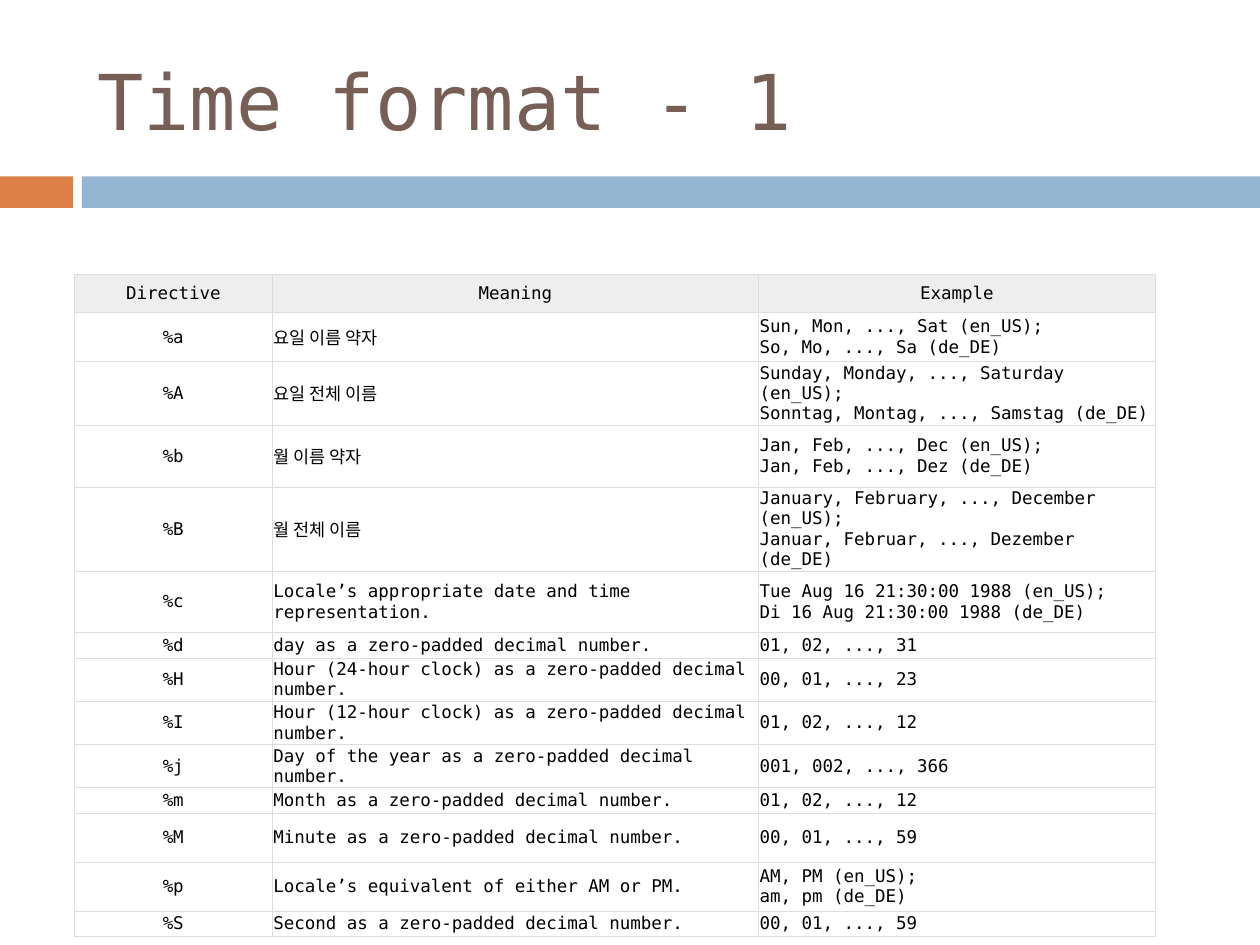
from dataclasses import dataclass

from lxml import etree
from pptx import Presentation
from pptx.dml.color import RGBColor
from pptx.enum.shapes import MSO_SHAPE
from pptx.enum.text import MSO_ANCHOR, PP_ALIGN
from pptx.oxml.ns import qn
from pptx.util import Inches, Pt

RECTANGLE = MSO_SHAPE.RECTANGLE
MIDDLE = MSO_ANCHOR.MIDDLE
LEFT, CENTER = PP_ALIGN.LEFT, PP_ALIGN.CENTER


@dataclass(frozen=True)
class Theme:
    font: str = "DejaVu Sans Mono"
    title_size: float = 44
    table_size: float = 10
    title: str = "775F55"
    text: str = "000000"
    accent: str = "DD8047"
    band: str = "94B6D2"
    header: str = "EEEEEE"
    body: str = "FFFFFF"
    border: str = "DDDDDD"
    border_width: float = 0.6


THEME = Theme()
PAGE_WIDTH, PAGE_HEIGHT = 10, 7.5
BAND_TOP, BAND_HEIGHT = 1.4, 0.25
ACCENT_WIDTH, BAND_LEFT = 0.58, 0.65
TABLE_LEFT, TABLE_TOP = 0.59, 2.18
COLUMN_WIDTHS = (1.57, 3.86, 3.15)
HEADER_HEIGHT, SHORT, MEDIUM, TALL = 0.3, 0.2, 0.39, 0.49
CELL_MARGIN = 0.01

HEADINGS = ("Directive", "Meaning", "Example")
# Row height, directive, meaning, example
DIRECTIVES = (
    (MEDIUM, "%a", "요일 이름 약자",
     "Sun, Mon, ..., Sat (en_US);\nSo, Mo, ..., Sa (de_DE)"),
    (MEDIUM, "%A", "요일 전체 이름",
     "Sunday, Monday, ..., Saturday (en_US);\nSonntag, Montag, ..., Samstag (de_DE)"),
    (TALL, "%b", "월 이름 약자",
     "Jan, Feb, ..., Dec (en_US);\nJan, Feb, ..., Dez (de_DE)"),
    (TALL, "%B", "월 전체 이름",
     "January, February, ..., December (en_US);\nJanuar, Februar, ..., Dezember (de_DE)"),
    (TALL, "%c", "Locale’s appropriate date and time representation.",
     "Tue Aug 16 21:30:00 1988 (en_US);\nDi 16 Aug 21:30:00 1988 (de_DE)"),
    (SHORT, "%d", "day as a zero-padded decimal number.", "01, 02, ..., 31"),
    (SHORT, "%H", "Hour (24-hour clock) as a zero-padded decimal number.", "00, 01, ..., 23"),
    (SHORT, "%I", "Hour (12-hour clock) as a zero-padded decimal number.", "01, 02, ..., 12"),
    (SHORT, "%j", "Day of the year as a zero-padded decimal number.", "001, 002, ..., 366"),
    (SHORT, "%m", "Month as a zero-padded decimal number.", "01, 02, ..., 12"),
    (MEDIUM, "%M", "Minute as a zero-padded decimal number.", "00, 01, ..., 59"),
    (MEDIUM, "%p", "Locale’s equivalent of either AM or PM.",
     "AM, PM (en_US);\nam, pm (de_DE)"),
    (SHORT, "%S", "Second as a zero-padded decimal number.", "00, 01, ..., 59"),
)


def add_text(frame, text, size, color, align):
    """Write each line of the text as a paragraph of its own."""
    for index, line in enumerate(text.split("\n")):
        para = frame.add_paragraph() if index else frame.paragraphs[0]
        para.alignment = align
        span = para.add_run()
        span.text = line
        span.font.name = THEME.font
        span.font.size = Pt(size)
        span.font.color.rgb = RGBColor.from_string(color)


def add_band(page, left, width, color):
    band = page.shapes.add_shape(RECTANGLE, Inches(left), Inches(BAND_TOP),
                                 Inches(width), Inches(BAND_HEIGHT))
    band.shadow.inherit = False
    band.fill.solid()
    band.fill.fore_color.rgb = RGBColor.from_string(color)
    band.line.fill.background()


def set_title(page, text):
    title = page.shapes.title
    title.left, title.top = Inches(0.67), Inches(0.25)
    title.width, title.height = Inches(8.92), Inches(1.08)
    title.text_frame.vertical_anchor = MIDDLE
    add_text(title.text_frame, text, THEME.title_size, THEME.title, LEFT)


def set_borders(cell):
    properties = cell._tc.get_or_add_tcPr()
    for position, side in enumerate(("a:lnL", "a:lnR", "a:lnT", "a:lnB")):
        line = etree.Element(qn(side), w=str(Pt(THEME.border_width)))
        fill = etree.SubElement(line, qn("a:solidFill"))
        etree.SubElement(fill, qn("a:srgbClr"), val=THEME.border)
        properties.insert(position, line)


def fill_cell(cell, text, fill, align):
    cell.margin_left = cell.margin_right = Inches(CELL_MARGIN)
    cell.margin_top = cell.margin_bottom = Inches(CELL_MARGIN)
    cell.vertical_anchor = MIDDLE
    cell.fill.solid()
    cell.fill.fore_color.rgb = RGBColor.from_string(fill)
    set_borders(cell)
    add_text(cell.text_frame, text, THEME.table_size, THEME.text, align)


def add_directive_table(page):
    rows = ((HEADER_HEIGHT, *HEADINGS), *DIRECTIVES)
    height = sum(row[0] for row in rows)
    table = page.shapes.add_table(
        len(rows), len(COLUMN_WIDTHS), Inches(TABLE_LEFT), Inches(TABLE_TOP),
        Inches(sum(COLUMN_WIDTHS)), Inches(height)).table
    table.horz_banding = False
    for column, width in zip(table.columns, COLUMN_WIDTHS):
        column.width = Inches(width)
    for row_index, (row_height, *texts) in enumerate(rows):
        table.rows[row_index].height = Inches(row_height)
        is_header = row_index == 0
        for column_index, text in enumerate(texts):
            fill_cell(table.cell(row_index, column_index), text,
                      THEME.header if is_header else THEME.body,
                      CENTER if is_header or column_index == 0 else LEFT)
    table.first_row = False


def main():
    deck = Presentation()
    deck.slide_width, deck.slide_height = Inches(PAGE_WIDTH), Inches(PAGE_HEIGHT)
    title_only = deck.slide_layouts[5]
    page = deck.slides.add_slide(title_only)
    add_band(page, 0, ACCENT_WIDTH, THEME.accent)
    add_band(page, BAND_LEFT, PAGE_WIDTH - BAND_LEFT, THEME.band)
    set_title(page, "Time format - 1")
    add_directive_table(page)
    deck.save("out.pptx")


if __name__ == "__main__":
    main()
